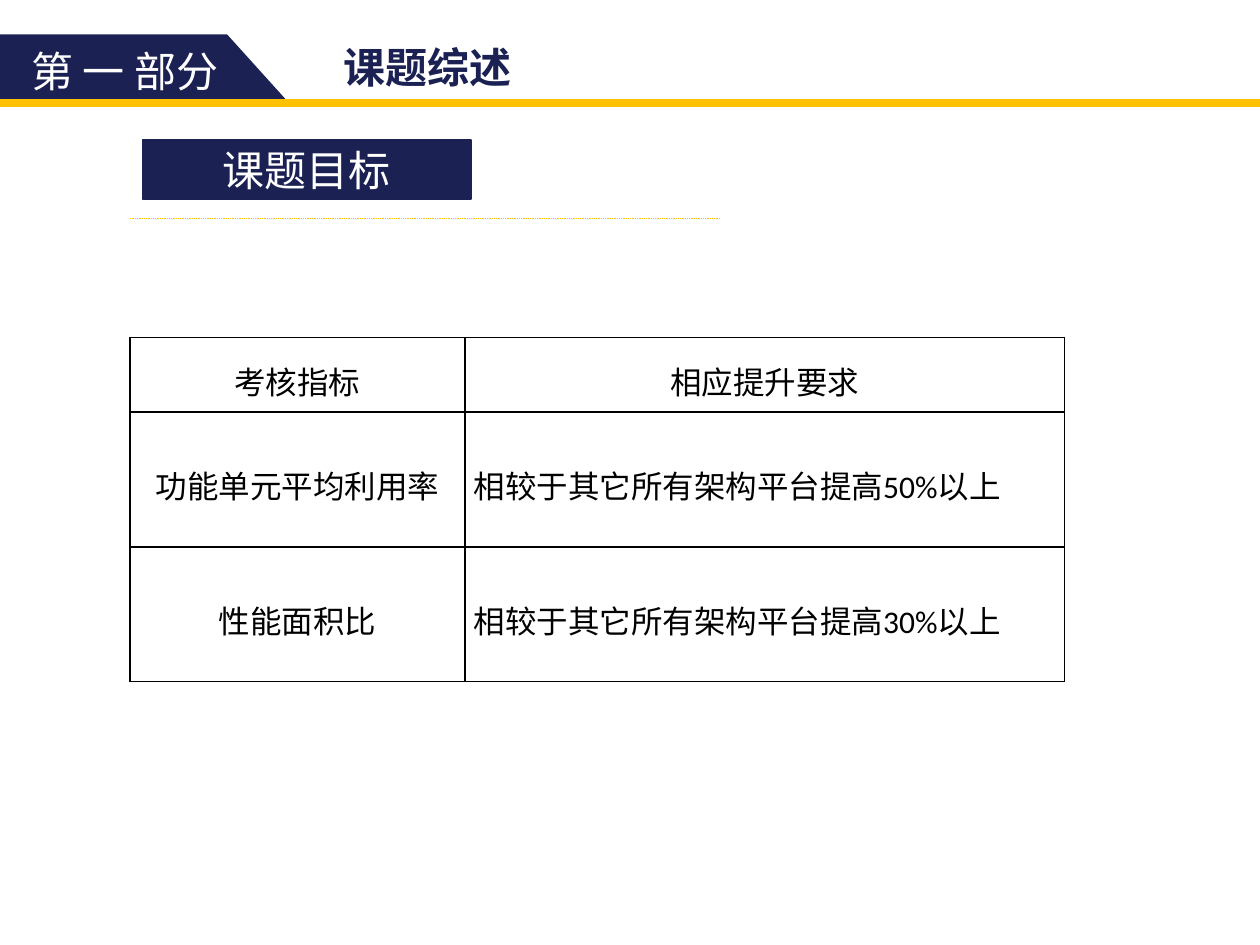
from lxml import etree
from pptx import Presentation
from pptx.dml.color import RGBColor
from pptx.enum import dml, lang, shapes, text
from pptx.oxml import ns
from pptx.util import Inches, Pt

NAVY = RGBColor(0x1B, 0x21, 0x53)
GOLD = RGBColor(0xFF, 0xC0, 0x00)
WHITE = RGBColor(0xFF, 0xFF, 0xFF)
BLACK = RGBColor(0, 0, 0)
SANS = "Noto Sans CJK SC"
ALIGN = text.PP_ALIGN
ROWS = [
    ("考核指标", "相应提升要求"),
    ("功能单元平均利用率", "相较于其它所有架构平台提高50%以上"),
    ("性能面积比", "相较于其它所有架构平台提高30%以上"),
]


def write(frame, words, size=24, face=SANS, color=WHITE, bold=False,
          align=ALIGN.LEFT, space=None):
    """Put one formatted paragraph into a text frame."""
    para = frame.paragraphs[0]
    para.alignment = align
    para.line_spacing = space
    run = para.add_run()
    run.text = words
    font = run.font
    font.size, font.name, font.bold = Pt(size), face, bold
    font.color.rgb = color
    font.language_id = lang.MSO_LANGUAGE_ID.SIMPLIFIED_CHINESE
    latin = run._r.rPr.find(ns.qn("a:latin"))
    east = etree.Element(ns.qn("a:ea"), typeface=SANS)
    latin.addnext(east)


def paint(shape, color):
    """Give a shape a flat fill and a matching outline."""
    shape.shadow.inherit = False
    shape.fill.solid()
    shape.fill.fore_color.rgb = color
    shape.line.color.rgb = color
    shape.line.width = Pt(1)


def block(parent, color, *box):
    """Add a flat rectangle."""
    shape = parent.add_shape(shapes.MSO_SHAPE.RECTANGLE, *map(Inches, box))
    paint(shape, color)
    return shape


def label(slide, words, *box, **style):
    """Add a single-line text box that fits its text."""
    frame = slide.shapes.add_textbox(*map(Inches, box)).text_frame
    frame.word_wrap = False
    frame.auto_size = text.MSO_AUTO_SIZE.SHAPE_TO_FIT_TEXT
    write(frame, words, **style)


def header(slide, left, top, width, height):
    """Draw the section tab, the rule below it and the titles."""
    base = top + height
    pen = slide.shapes.build_freeform(Inches(left), Inches(top))
    points = [(left + 1.8, top), (left + 2.26, base), (left, base)]
    pen.add_line_segments([(Inches(x), Inches(y)) for x, y in points])
    paint(pen.convert_to_shape(), NAVY)
    block(slide.shapes, GOLD, left, base, width, 0.05)
    label(slide, "第 一 部分", left + 0.15, top + 0.03, 1.75, 0.51)
    label(slide, "课题综述", left + 2.63, top, 1.55, 0.51,
          color=NAVY, bold=True)


def heading(slide, left, top, width, height):
    """Draw the topic box over a dotted rule."""
    group = slide.shapes.add_group_shape().shapes
    box = block(group, NAVY, left + 0.1, top, 2.61, 0.47)
    box.text_frame.vertical_anchor = text.MSO_ANCHOR.MIDDLE
    write(box.text_frame, "课题目标", face="Arial", align=ALIGN.CENTER)
    base = Inches(top + height)
    rule = group.add_connector(shapes.MSO_CONNECTOR.STRAIGHT, Inches(left),
                               base, Inches(left + width), base)
    rule.line.color.rgb = GOLD
    rule.line.width = Pt(0.5)
    rule.line.dash_style = dml.MSO_LINE.ROUND_DOT
    etree.SubElement(rule._element.spPr, ns.qn("a:effectLst"))


def frame_cell(cell):
    """Draw thin black borders around a cell without fill."""
    props = cell._tc.get_or_add_tcPr()
    for side in ("lnL", "lnR", "lnT", "lnB"):
        line = etree.SubElement(props, ns.qn("a:" + side), w=str(Pt(1)))
        fill = etree.SubElement(line, ns.qn("a:solidFill"))
        etree.SubElement(fill, ns.qn("a:srgbClr"), val=str(BLACK))
    cell.fill.background()


def targets(slide, left, top, width, height):
    """Place the table of measures and required gains."""
    box = map(Inches, (left, top, width, height))
    table = slide.shapes.add_table(len(ROWS), 2, *box).table
    table.first_row = table.horz_banding = False
    for col, size in zip(table.columns, (2.66, width - 2.66)):
        col.width = Inches(size)
    for row, size in zip(table.rows, (0.59, 1.07, 1.07)):
        row.height = Inches(size)
    for i, row in enumerate(ROWS):
        for j, words in enumerate(row):
            cell = table.cell(i, j)
            frame_cell(cell)
            cell.vertical_anchor = text.MSO_ANCHOR.MIDDLE
            cell.margin_left = cell.margin_right = Inches(0.07)
            cell.margin_top = cell.margin_bottom = 0
            align = ALIGN.JUSTIFY if i and j else ALIGN.CENTER
            write(cell.text_frame, words, size=18, face="Calibri",
                  color=BLACK, align=align, space=1.25)


def main():
    """Build the slide and save it."""
    deck = Presentation()
    deck.slide_width, deck.slide_height = Inches(10), Inches(7.5)
    slide = deck.slides.add_slide(deck.slide_layouts[6])
    header(slide, 0, 0.28, 10, 0.51)
    heading(slide, 1.03, 1.11, 4.68, 0.62)
    targets(slide, 1.03, 2.68, 7.42, 2.73)
    deck.save("out.pptx")


if __name__ == "__main__":
    main()
